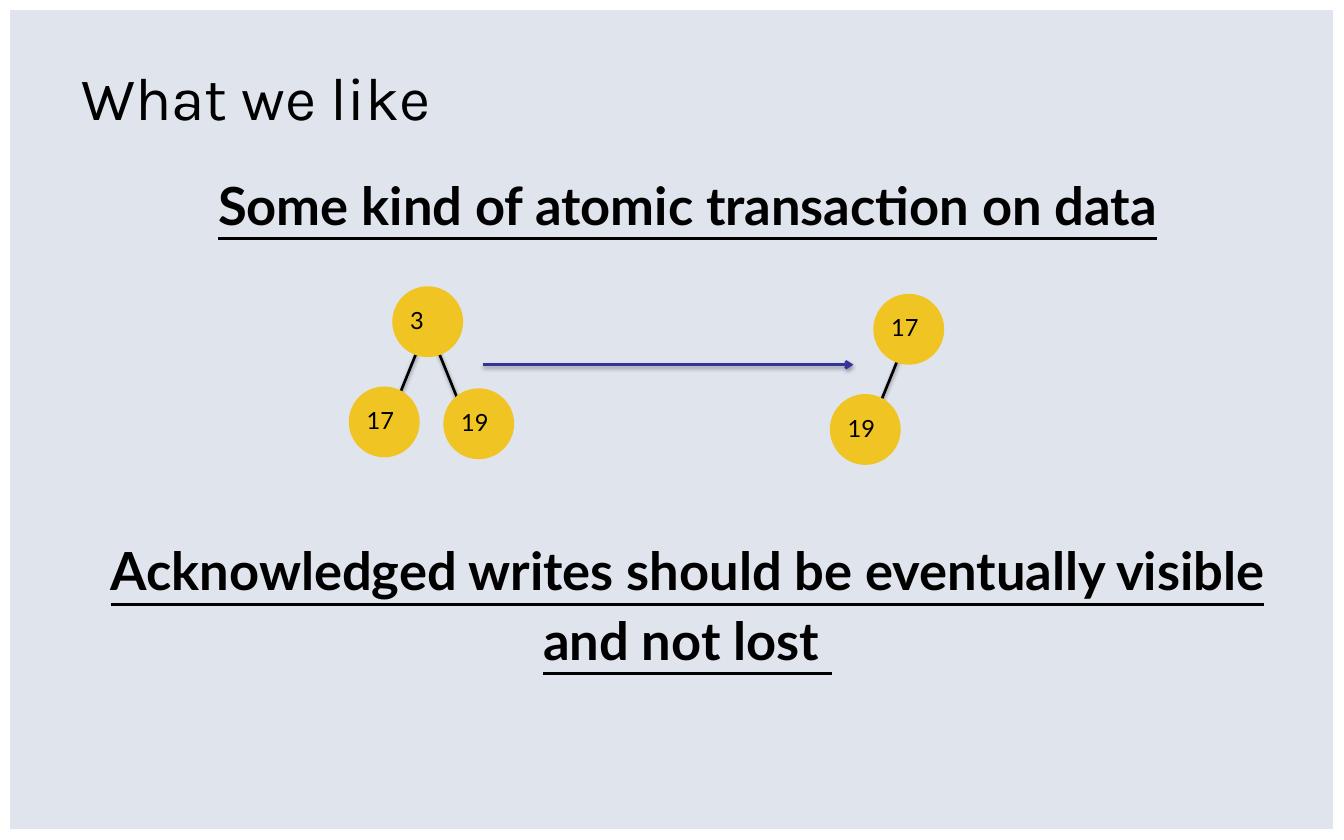
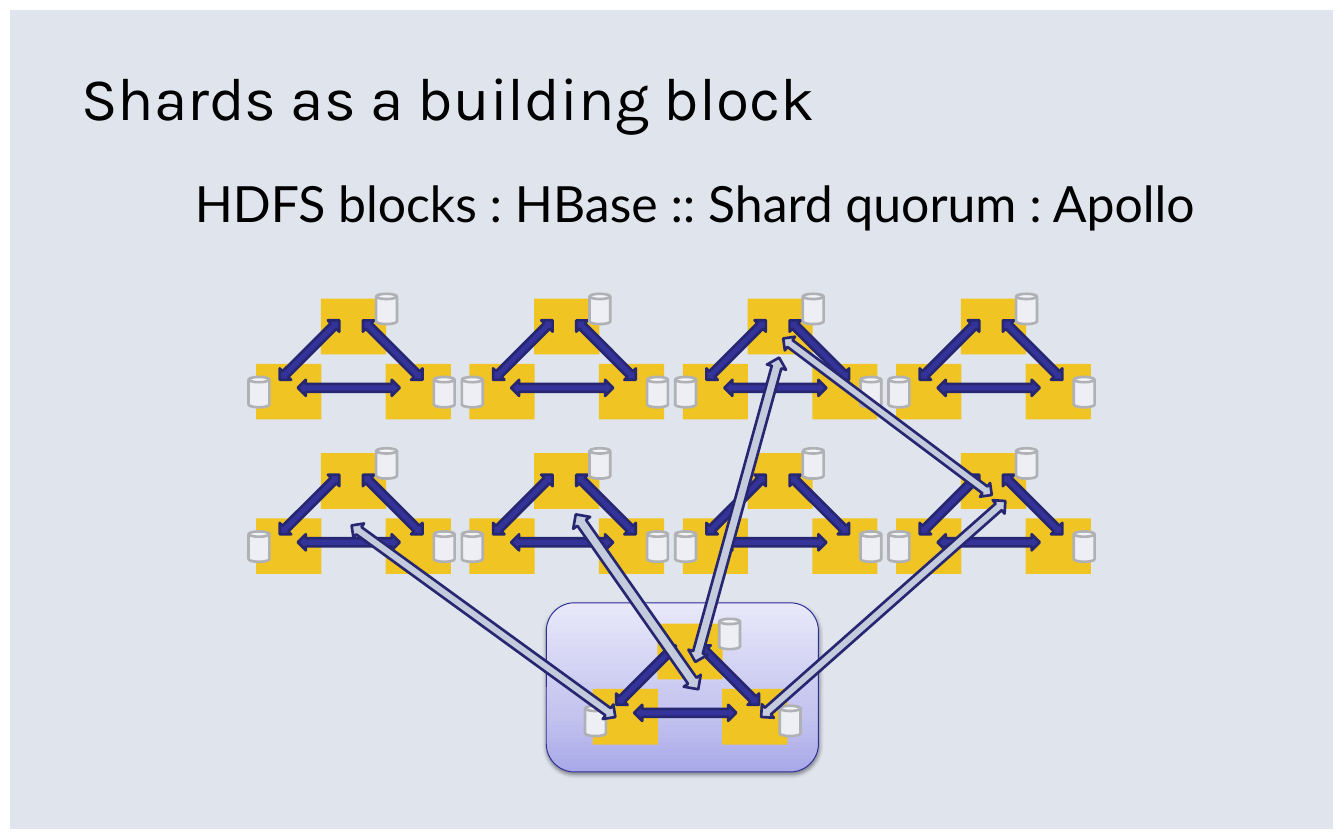
from typing import NamedTuple

from pptx import Presentation
from pptx import util as u
from pptx.dml.color import RGBColor
from pptx.enum import shapes, text
from pptx.oxml import parse_xml
from pptx.oxml.ns import nsdecls, qn

# Shared look
WIDTH, HEIGHT = 14.22, 8.89
PAPER, WHITE, BLACK = "E0E4ED", "FFFFFF", "000000"
YELLOW, INDIGO, NAVY, MIST = "F0C423", "333399", "262671", "C3CBDC"
TITLE_FONT, BODY_FONT = "Karla", "Lato"
MARGIN = 0.86
KIND = shapes.MSO_SHAPE


class Box(NamedTuple):
    x: float
    y: float
    w: float
    h: float


class Link(NamedTuple):
    box: Box
    angle: float


class Tree(NamedTuple):
    x: float
    y: float
    root: str
    children: tuple[str, ...]


# Binary trees: child places and edge directions, from left to right
NODE_SIZE = 0.75
CHILD_OFFSETS = ((-0.46, 1.06), (0.54, 1.08))
EDGE_SHIFTS = (-0.34, 0.34)
TREES = (Tree(4.15, 3.03, "3", ("17", "19")), Tree(9.24, 3.11, "17", ("19",)))

# Shards: a grid of identical trios, measured from the trio's top left
COLUMNS, ROWS = 4, 2
GRID_X, GRID_Y, COLUMN_PITCH, ROW_PITCH = 2.71, 3.16, 2.257, 1.635
SERVERS = ((0, 0.69), (0.685, 0), (1.37, 0.69))
SHARD_LINKS = (
    Link(Box(0.12, 0.46, 0.89, 0.17), 315),
    Link(Box(1.0, 0.46, 0.89, 0.17), 45),
    Link(Box(0.44, 0.86, 1.08, 0.17), 0),
)
DISKS = ((-0.08, 0.83), (1.27, -0.05), (1.88, 0.83))
LEADER_DISKS = ((-0.08, 0.87), (1.34, -0.05), (1.98, 0.87))
LEADER_PANEL = Box(5.78, 6.38, 2.88, 1.79)
QUORUM_LINKS = (
    Link(Box(3.39, 6.48, 3.45, 0.19), 36),
    Link(Box(5.61, 6.26, 2.26, 0.22), 55),
    Link(Box(7.62, 6.35, 3.45, 0.19), 138.5),
    Link(Box(6.13, 5.29, 3.34, 0.21), 105.4),
    Link(Box(8.01, 4.32, 2.76, 0.18), 216.9),
)


def color(value: str) -> RGBColor:
    return RGBColor.from_string(value)


def place(item, box: Box) -> None:
    item.left, item.top, item.width, item.height = (u.Inches(v) for v in box)


def write(frame, lines, *, size, font=BODY_FONT, bold=None, underline=None,
          align=text.PP_ALIGN.LEFT, spacing=0.9, gap=0, level=0, indent=0,
          left=0) -> None:
    """Fill a text frame, one paragraph per line."""
    frame.word_wrap = True
    frame.auto_size = text.MSO_AUTO_SIZE.NONE
    frame.margin_left = u.Inches(left)
    frame.margin_right = frame.margin_top = frame.margin_bottom = 0
    for index, line in enumerate(lines):
        paragraph = frame.add_paragraph() if index else frame.paragraphs[0]
        paragraph.level = level
        properties = paragraph._p.get_or_add_pPr()
        properties.set("marL", str(u.Inches(indent)))
        properties.set("indent", "0")
        properties.append(parse_xml(f"<a:buNone {nsdecls('a')}/>"))
        paragraph.alignment = align
        paragraph.line_spacing = spacing
        paragraph.space_before = u.Pt(gap if index else 0)
        run = paragraph.add_run()
        run.text = line
        run.font.name, run.font.size = font, u.Pt(size)
        run.font.bold, run.font.underline = bold, underline
        run.font.color.rgb = color(BLACK)


def cast_shadow(item) -> None:
    """Add the soft shadow below a shape or connector."""
    properties = item._element.spPr
    for old in properties.findall(qn("a:effectLst")):
        properties.remove(old)
    properties.append(parse_xml(
        f'<a:effectLst {nsdecls("a")}><a:outerShdw blurRad="40000" dist="20000" '
        f'dir="5400000" rotWithShape="0"><a:srgbClr val="{BLACK}">'
        '<a:alpha val="38000"/></a:srgbClr></a:outerShdw></a:effectLst>'))


def draw(parent, kind, box: Box, fill: str, line: str | None = None,
         weight: float = 2, angle: float = 0):
    shape = parent.add_shape(kind, *(u.Inches(v) for v in box))
    shape.rotation = angle
    shape.shadow.inherit = False
    shape.fill.solid()
    shape.fill.fore_color.rgb = color(fill)
    if line:
        shape.line.color.rgb = color(line)
        shape.line.width = u.Pt(weight)
    else:
        shape.line.fill.background()
    return shape


def connect(parent, x1, y1, x2, y2, line: str, arrow: bool = False) -> None:
    connector = parent.add_connector(
        shapes.MSO_CONNECTOR.STRAIGHT, *(u.Inches(v) for v in (x1, y1, x2, y2)))
    connector.line.color.rgb = color(line)
    connector.line.width = u.Pt(2)
    if arrow:
        connector._element.spPr.find(qn("a:ln")).append(
            parse_xml(f'<a:tailEnd {nsdecls("a")} type="arrow"/>'))
    cast_shadow(connector)


def prepare_layout(deck):
    """Give the template its background and its title place."""
    layout = deck.slide_layouts[1]
    background = deck.slide_master.background.fill
    background.solid()
    background.fore_color.rgb = color(PAPER)
    place(layout.placeholders[0], Box(MARGIN, 0.71, 12.49, 0.72))
    return layout


def add_slide(deck, layout, title: str, body_width: float, body_height: float):
    slide = deck.slides.add_slide(layout)
    write(slide.shapes.title.text_frame, [title], size=46, font=TITLE_FONT)
    slide.shapes.title.text_frame.vertical_anchor = text.MSO_ANCHOR.MIDDLE
    body = slide.placeholders[1]
    place(body, Box(MARGIN, 1.76, body_width, body_height))
    body.text_frame.vertical_anchor = text.MSO_ANCHOR.TOP
    return slide, body.text_frame


def add_frame(slide, layout) -> None:
    """Put the white-edged frame behind everything in the layout."""
    frame = draw(slide.shapes, KIND.RECTANGLE, Box(0, 0, WIDTH, HEIGHT),
                 PAPER, WHITE, 16)
    layout.shapes._spTree.insert(2, frame._element)


def draw_node(parent, x: float, y: float, label: str) -> None:
    node = draw(parent, KIND.OVAL, Box(x, y, NODE_SIZE, NODE_SIZE), YELLOW)
    write(node.text_frame, [label], size=18, left=0.08)
    node.text_frame.vertical_anchor = text.MSO_ANCHOR.MIDDLE


def draw_tree(slide, tree: Tree) -> None:
    parent = slide.shapes.add_group_shape().shapes
    center, start = tree.x + NODE_SIZE / 2, tree.y + 0.41
    for _, shift in zip(tree.children, EDGE_SHIFTS):
        connect(parent, center, start, center + shift, start + 0.84, BLACK)
    draw_node(parent, tree.x, tree.y, tree.root)
    for label, (dx, dy) in zip(tree.children, CHILD_OFFSETS):
        draw_node(parent, tree.x + dx, tree.y + dy, label)


def draw_link(parent, link: Link, fill: str, x: float = 0, y: float = 0) -> None:
    box = link.box._replace(x=x + link.box.x, y=y + link.box.y)
    draw(parent, KIND.LEFT_RIGHT_ARROW, box, fill, NAVY, angle=link.angle)


def draw_shard(slide, x: float, y: float, disks=DISKS) -> None:
    parent = slide.shapes.add_group_shape().shapes
    for dx, dy in SERVERS:
        draw(parent, KIND.RECTANGLE, Box(x + dx, y + dy, 0.69, 0.59), YELLOW)
    for link in SHARD_LINKS:
        draw_link(parent, link, INDIGO, x, y)
    for dx, dy in disks:
        draw(parent, KIND.CAN, Box(x + dx, y + dy, 0.22, 0.32), "EDEFF4", "AFB1B5")


def draw_leader(slide) -> None:
    """The highlighted shard on its gradient panel."""
    panel = draw(slide.shapes, KIND.ROUNDED_RECTANGLE, LEADER_PANEL,
                 "C4C4EF", "2F2F98", 0.75)
    stops = "".join(
        f'<a:gs pos="{share * 1000}"><a:srgbClr val="{shade}"/></a:gs>'
        for share, shade in ((0, "A9A9E9"), (35, "C4C4EF"), (100, "E8E8FA")))
    properties = panel._element.spPr
    properties.replace(properties.find(qn("a:solidFill")), parse_xml(
        f'<a:gradFill {nsdecls("a")} rotWithShape="1"><a:gsLst>{stops}</a:gsLst>'
        '<a:lin ang="16200000" scaled="0"/></a:gradFill>'))
    cast_shadow(panel)
    draw_shard(slide, 6.27, 6.6, LEADER_DISKS)


def build_likes(deck, layout) -> None:
    slide, body = add_slide(deck, layout, "What we like", 12.83, 6.18)
    add_frame(slide, layout)
    # The gap leaves room for the trees between the two statements
    write(body, ["Some kind of atomic transaction on data",
                 "Acknowledged writes should be eventually visible and not lost "],
          size=40, bold=True, underline=True, align=text.PP_ALIGN.CENTER,
          spacing=1.1, gap=226)
    for tree in TREES:
        draw_tree(slide, tree)
    connect(slide.shapes, 5.11, 3.86, 9.03, 3.86, INDIGO, arrow=True)


def build_shards(deck, layout) -> None:
    slide, body = add_slide(deck, layout, "Shards as a building block", 12.42, 6.54)
    write(body, ["HDFS blocks : HBase :: Shard quorum : Apollo"], size=38,
          align=text.PP_ALIGN.CENTER, spacing=1.1, level=1, indent=0.57)
    for column in range(COLUMNS):
        for row in range(ROWS):
            draw_shard(slide, GRID_X + column * COLUMN_PITCH, GRID_Y + row * ROW_PITCH)
    draw_leader(slide)
    for link in QUORUM_LINKS:
        draw_link(slide.shapes, link, MIST)


def main() -> None:
    deck = Presentation()
    deck.slide_width, deck.slide_height = u.Inches(WIDTH), u.Inches(HEIGHT)
    layout = prepare_layout(deck)
    build_likes(deck, layout)
    build_shards(deck, layout)
    deck.save("out.pptx")


if __name__ == "__main__":
    main()
